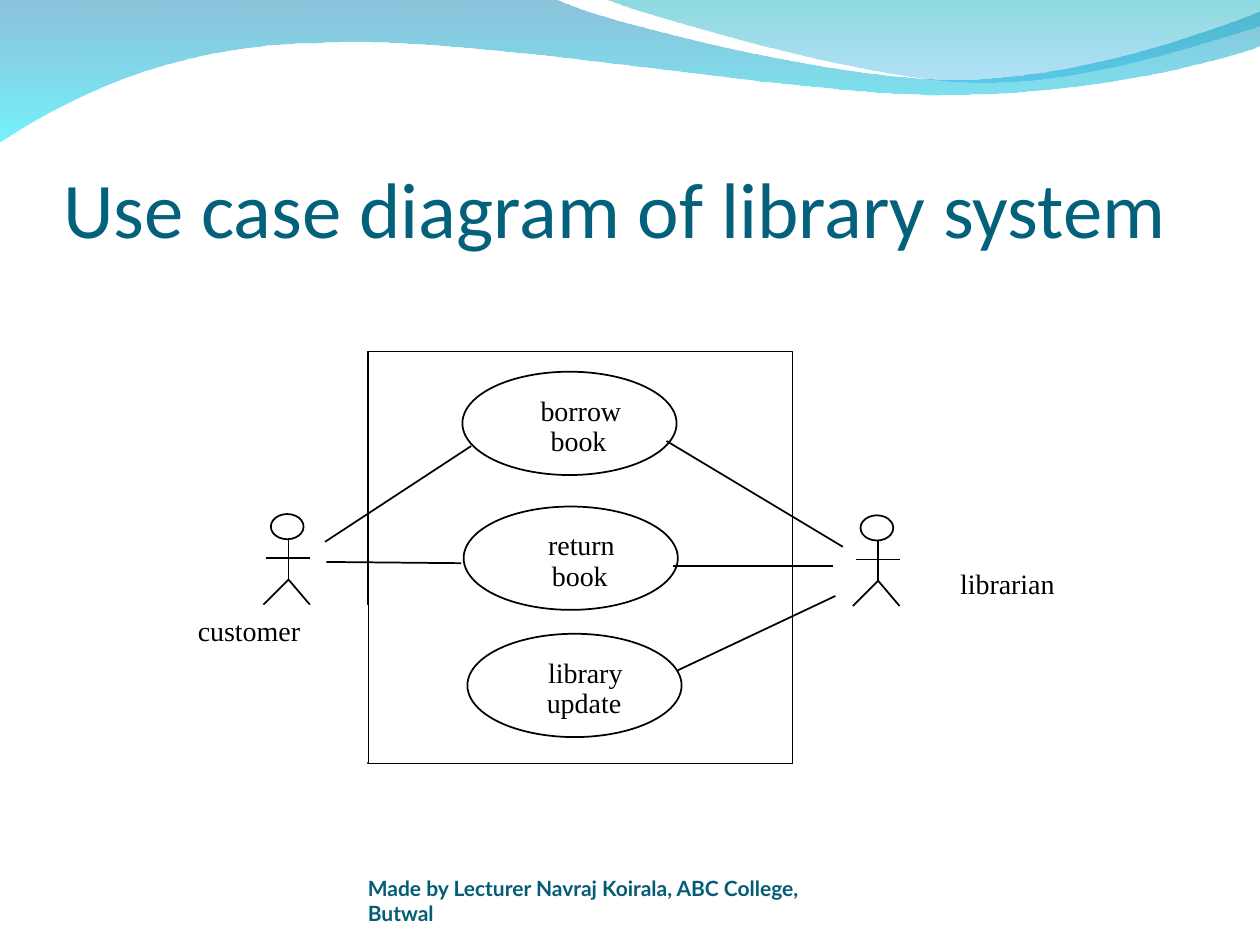
from dataclasses import dataclass

from lxml import etree
from pptx import Presentation
from pptx import util as u
from pptx.dml.color import RGBColor
from pptx.enum import shapes, text
from pptx.oxml import ns

Inches = u.Inches


@dataclass(frozen=True)
class Theme:
    title: str = "04617B"
    footer: str = "045C75"
    ink: str = "000000"
    paper: str = "FFFFFF"
    back_wave: tuple = (("0079AF", 45), ("00EBF8", 55))
    front_wave: tuple = (("00ADB6", 45), ("009BE5", 30))
    title_font: str = "Calibri"
    footer_font: str = "Lato"
    label_font: str = "Times New Roman"
    title_size: int = 45
    footer_size: int = 12
    label_size: int = 16
    line_width: int = 1


THEME = Theme()


def rgb(value):
    return RGBColor.from_string(value)


def set_font(p, name, size, color, bold=False):
    p.font.name = name
    p.font.size = u.Pt(size)
    p.font.color.rgb = rgb(color)
    p.font.bold = bold


def clear_insets(tf):
    tf.margin_left = tf.margin_top = tf.margin_right = tf.margin_bottom = 0


def draw_outline(sp):
    sp.line.color.rgb = rgb(THEME.ink)
    sp.line.width = u.Pt(THEME.line_width)


def add_figure(s, kind, box, outlined=True):
    sp = s.shapes.add_shape(kind, *map(Inches, box))
    sp.shadow.inherit = False
    sp.fill.solid()
    sp.fill.fore_color.rgb = rgb(THEME.paper)
    if outlined:
        draw_outline(sp)
    else:
        sp.line.fill.background()
    return sp


def add_line(s, start, end):
    sp = s.shapes.add_connector(shapes.MSO_CONNECTOR.STRAIGHT, *map(Inches, (*start, *end)))
    draw_outline(sp)
    etree.SubElement(sp._element.spPr, ns.qn("a:effectLst"))


def add_path(s, points, close):
    points = [(Inches(x), Inches(y)) for x, y in points]
    builder = s.shapes.build_freeform(*points[0])
    builder.add_line_segments(points[1:], close=close)
    sp = builder.convert_to_shape()
    sp.shadow.inherit = False
    return sp


def add_label(s, words, left, top, width):
    sp = s.shapes.add_textbox(*map(Inches, (left, top, width, 0.27)))
    tf = sp.text_frame
    clear_insets(tf)
    tf.word_wrap = False
    tf.auto_size = text.MSO_AUTO_SIZE.SHAPE_TO_FIT_TEXT
    tf.text = words
    set_font(tf.paragraphs[0], THEME.label_font, THEME.label_size, THEME.ink)


def bend(sp, segments):
    lines = iter(list(sp._element.spPr.iter(ns.qn("a:lnTo"))))
    for segment in segments:
        first, *others = [next(lines) for _ in segment]
        if others:
            first.tag = ns.qn("a:cubicBezTo")
        for line in others:
            first.append(line[0])
            line.getparent().remove(line)


def add_wave(s, start, segments, stops):
    sp = add_path(s, [start] + [pt for segment in segments for pt in segment], close=True)
    bend(sp, segments)
    sp.line.fill.background()
    sp.fill.gradient()
    sp.fill.gradient_angle = 270
    for stop, (color, _) in zip(sp.fill.gradient_stops, stops):
        stop.color.rgb = rgb(color)
    for clr, (_, opacity) in zip(sp._element.spPr.iter(ns.qn("a:srgbClr")), stops):
        etree.SubElement(clr, ns.qn("a:alpha")).set("val", str(opacity * 1000))


def add_waves(s):
    back = (
        ((4.4, -0.01),),
        ((4.76, 0.17), (6.64, 0.63), (7.58, 0.63)),
        ((8.53, 0.63), (9.58, 0.26), (10, 0.09)),
        ((10.01, 0.36),),
        ((9.83, 0.44), (8.7, 0.76), (7.46, 0.75)),
        ((6.22, 0.75), (3.82, 0.28), (2.57, 0.34)),
        ((1.29, 0.35), (0.46, 0.83), (-0.01, 1.13)),
    )
    front = (
        ((5.09, 0.11), (6.82, 0.62), (7.69, 0.65)),
        ((8.56, 0.69), (9.61, 0.32), (10, 0.21)),
        ((10, 0),),
    )
    add_wave(s, (0, -0.01), back, THEME.back_wave)
    add_wave(s, (4.79, -0.01), front, THEME.front_wave)


def add_title(s, box, words):
    sp = s.shapes.title
    sp.left, sp.top, sp.width, sp.height = map(Inches, box)
    tf = sp.text_frame
    clear_insets(tf)
    tf.margin_top = Inches(0.05)
    tf.word_wrap = True
    tf.auto_size = text.MSO_AUTO_SIZE.NONE
    tf.vertical_anchor = text.MSO_ANCHOR.BOTTOM
    tf.text = words
    p = tf.paragraphs[0]
    p.alignment = text.PP_ALIGN.LEFT
    set_font(p, THEME.title_font, THEME.title_size, THEME.title)


def add_footer(s, box, words):
    tf = s.shapes.add_textbox(*map(Inches, box)).text_frame
    clear_insets(tf)
    tf.word_wrap = True
    tf.vertical_anchor = text.MSO_ANCHOR.BOTTOM
    tf.text = words
    set_font(tf.paragraphs[0], THEME.footer_font, THEME.footer_size, THEME.footer, True)


def add_actor(s, box):
    left, top, width, height = box
    middle, hip, foot = left + 0.2, top + 0.52, top + height
    add_figure(s, shapes.MSO_SHAPE.OVAL, (middle - 0.14, top, 0.26, 0.2))
    add_line(s, (middle, top + 0.2), (middle, hip))
    add_line(s, (left + 0.02, top + 0.35), (left + width, top + 0.35))
    legs = add_path(s, [(left + width, foot), (middle, hip), (left, foot)], close=False)
    legs.fill.background()
    draw_outline(legs)


def add_use_case(s, box, labels):
    left, top, width, height = box
    add_figure(s, shapes.MSO_SHAPE.OVAL, box)
    for row, (words, offset, label_width) in enumerate(labels):
        add_label(s, words, left + offset, top + 0.17 + 0.24 * row, label_width)


def add_actor_name(s, box, words, width):
    add_figure(s, shapes.MSO_SHAPE.RECTANGLE, box, outlined=False)
    add_label(s, words, box[0] + 0.36, box[1] + 0.07, width)


def add_diagram(s, box):
    left, top, width, height = box
    for actor_left, actor_top in ((2.09, 4.08), (6.77, 4.09)):
        add_actor(s, (actor_left, actor_top, 0.37, 0.72))
    add_figure(s, shapes.MSO_SHAPE.RECTANGLE, box)
    use_cases = (
        (0.75, 0.16, (("borrow", 0.62, 0.7), ("book", 0.7, 0.48))),
        (0.76, 1.23, (("return", 0.67, 0.62), ("book", 0.7, 0.48))),
        (0.79, 2.24, (("library", 0.64, 0.68), ("update", 0.63, 0.63))),
    )
    for dx, dy, labels in use_cases:
        add_use_case(s, (left + dx, top + dy, 1.7, 0.82), labels)
    associations = (
        ((2.58, 4.3), (3.74, 3.54)),
        ((2.59, 4.46), (3.66, 4.47)),
        ((6.69, 4.34), (5.29, 3.5)),
        ((6.61, 4.49), (5.34, 4.49)),
        ((6.63, 4.73), (5.38, 5.32)),
    )
    for start, end in associations:
        add_line(s, start, end)
    add_actor_name(s, (7.26, 4.43, 1.71, 1.25), "librarian", 0.8)
    add_actor_name(s, (1.21, 4.8, 1.71, 1.25), "customer", 0.86)


def main():
    prs = Presentation()
    prs.slide_width, prs.slide_height = Inches(10), Inches(7.5)
    s = prs.slides.add_slide(prs.slide_layouts[5])
    add_waves(s)
    add_title(s, (0.5, 0.77, 9, 1.25), "Use case diagram of library system")
    add_footer(s, (2.92, 6.95, 3.67, 0.4),
               "Made by Lecturer Navraj Koirala, ABC College, Butwal")
    add_diagram(s, (2.92, 2.79, 3.37, 3.27))
    prs.save("out.pptx")


if __name__ == "__main__":
    main()
